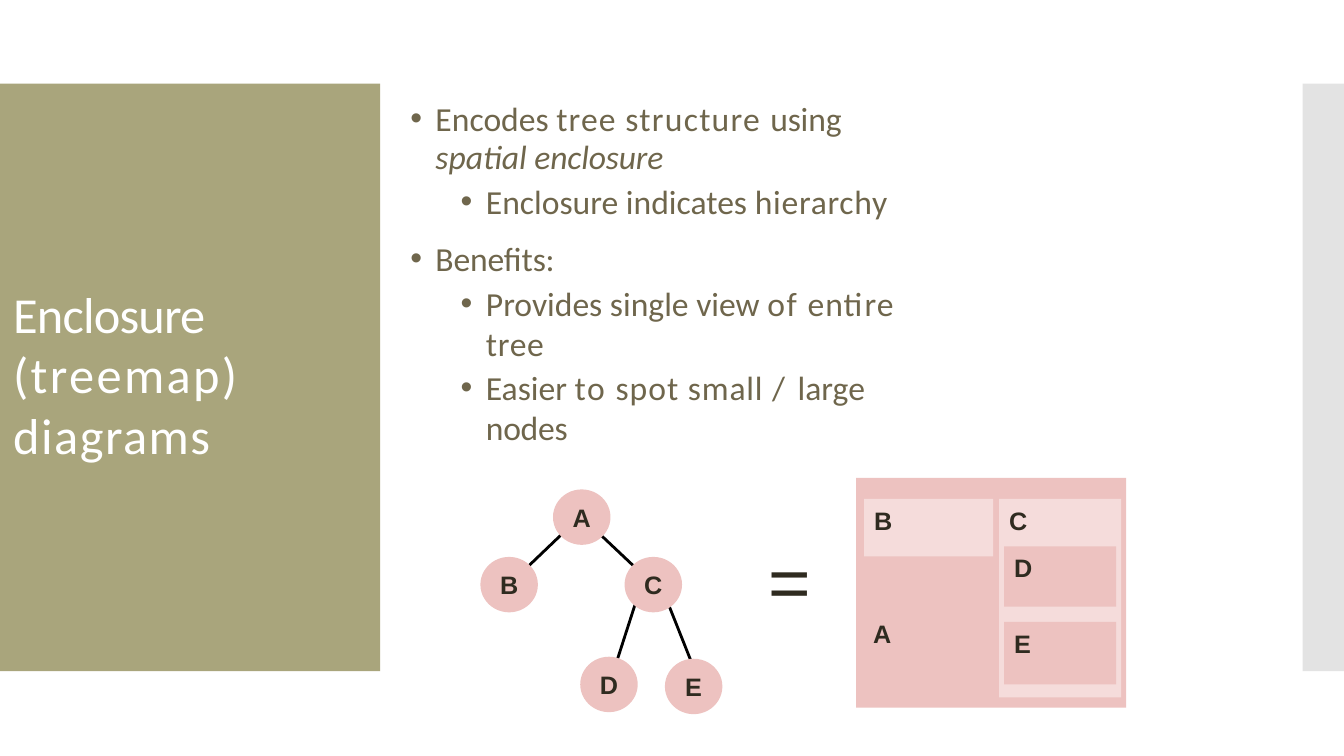
from lxml import etree
from pptx import Presentation
from pptx.dml.color import RGBColor
from pptx.enum.shapes import MSO_CONNECTOR as Line, MSO_SHAPE as Shape
from pptx.enum.text import MSO_ANCHOR as Anchor, PP_ALIGN as Align
from pptx.oxml.ns import qn
from pptx.util import Inches, Pt

OLIVE = RGBColor(0xA9, 0xA5, 0x7C)
GREY = RGBColor(0xC8, 0xC8, 0xC8)
BROWN = RGBColor(0x6F, 0x66, 0x4C)
DARK = RGBColor(0x2F, 0x2B, 0x20)
WHITE = RGBColor(0xFF, 0xFF, 0xFF)
BLACK = RGBColor(0, 0, 0)
PINK = RGBColor(0xED, 0xC2, 0xC0)
PALE = RGBColor(0xF5, 0xDC, 0xDB)

# A run is (text, letter spacing in points)
TITLE = [("Enclosure ", -0.6), ("(treemap) ", 1.7), ("diagrams", 1.1)]

# Bullet text: runs, paragraph format
POINTS = [
    ([("Encodes ", 0), ("tree ", 0.8), ("structure ", 0.9), ("using", -0.1)],
     dict(left=0.26, bullet=True, line=27.4)),
    ([("spatial ", 0), ("enclosure", -0.1)],
     dict(left=0.26, line=27.4, italic=True)),
    ([("Enclosure indicates ", 0), ("hierarchy", 0.5)],
     dict(left=0.76, bullet=True, level=1, before=3)),
    ([("Benefits:", -0.1)],
     dict(left=0.26, bullet=True, before=12.2)),
    ([("Provides single view ", 0), ("of ", 1.1), ("entire ", 0.7),
      ("tree", 0.5)],
     dict(left=0.76, bullet=True, level=1, before=2.9)),
    ([("Easier ", 0), ("to ", 1.1), ("spot ", 0.7), ("small ", 0.6),
      ("/ ", 1.8), ("large ", 0), ("nodes", -0.2)],
     dict(left=0.76, bullet=True, level=1, before=2.5)),
]

# Tree: node centres, and edges that end under the nodes
SIZE = (0.57, 0.55)
NODES = {"A": (5.77, 5.13), "B": (5.05, 5.8), "C": (6.48, 5.8),
         "D": (6.04, 6.79), "E": (6.88, 6.81)}
EDGES = [(5.76, 5.12, 5.06, 5.79), (5.76, 5.12, 6.47, 5.79),
         (6.33, 5.9, 6.05, 6.77), (6.58, 5.87, 6.93, 6.75)]

# Treemap: label, box, fill, label offset
CELLS = [
    ("A", (8.49, 4.74, 2.68, 2.28), PINK, (0.17, 1.39)),
    ("B", (8.57, 4.95, 1.28, 0.57), PALE, (0.1, 0.06)),
    ("C", (9.91, 4.95, 1.21, 1.97), PALE, (0.1, 0.06)),
    ("D", (9.96, 5.42, 1.11, 0.6), PINK, (0.1, 0.06)),
    ("E", (9.96, 6.17, 1.11, 0.62), PINK, (0.1, 0.06)),
]

deck = Presentation()
deck.slide_width, deck.slide_height = Inches(13.33), Inches(7.5)
slide = deck.slides.add_slide(deck.slide_layouts[6])
shapes = slide.shapes


def write(para, runs, size=18, color=DARK, font="Arial", bold=False,
          italic=False, align=Align.LEFT, left=0, bullet=False, level=0,
          line=None, before=0):
    """Fill one paragraph with runs of (text, letter spacing)."""
    props = para._p.get_or_add_pPr()
    props.set("marL", str(Inches(left)))
    props.set("indent", str(Inches(-0.25 if bullet else 0)))
    para.level, para.alignment = level, align
    if line:
        para.line_spacing = Pt(line)
    if before:
        para.space_before = Pt(before)
    if bullet:
        etree.SubElement(props, qn("a:buFont")).set("typeface", "Arial")
        etree.SubElement(props, qn("a:buChar")).set("char", "•")
    for text, gap in runs:
        run = para.add_run()
        run.text = text
        face = run.font
        face.name, face.size, face.color.rgb = font, Pt(size), color
        face.bold, face.italic = bold, italic
        run._r.get_or_add_rPr().set("spc", str(round(gap * 100)))


def frame(shape, left=0, top=0, wrap=True, anchor=Anchor.TOP):
    """Set the insets of a shape's text and return its frame."""
    body = shape.text_frame
    body.margin_left, body.margin_top = Inches(left), Inches(top)
    body.margin_right = body.margin_bottom = 0
    body.word_wrap, body.vertical_anchor = wrap, anchor
    return body


def block(kind, box, fill):
    shape = shapes.add_shape(kind, *map(Inches, box))
    shape.shadow.inherit = False
    shape.fill.solid()
    shape.fill.fore_color.rgb = fill
    shape.line.fill.background()
    return shape


def label(*box):
    return shapes.add_textbox(*map(Inches, box))


# Side panels
block(Shape.RECTANGLE, (0, 0.83, 3.77, 5.83), OLIVE)
strip = block(Shape.RECTANGLE, (12.92, 0.83, 0.41, 5.83), GREY)
tint = strip.fill._xPr.find(".//" + qn("a:srgbClr"))
etree.SubElement(tint, qn("a:alpha")).set("val", "50000")

title = frame(label(0.12, 2.78, 3.52, 1.83), 0.01, 0.02, anchor=Anchor.MIDDLE)
write(title.paragraphs[0], TITLE, size=36, color=WHITE, font="Calibri")

body = frame(label(4.06, 0.97, 5.14, 3.49), top=0.02)
for i, (runs, style) in enumerate(POINTS):
    para = body.add_paragraph() if i else body.paragraphs[0]
    write(para, runs, size=24, color=BROWN, font="Calibri", **style)

equals = frame(label(7.61, 5.29, 0.45, 0.89), 0.01, 0.02)
write(equals.paragraphs[0], [("=", -0.1)], size=52)

# Tree
for edge in EDGES:
    link = shapes.add_connector(Line.STRAIGHT, *map(Inches, edge))
    link.line.color.rgb, link.line.width = BLACK, Pt(2)
    etree.SubElement(link._element.spPr, qn("a:effectLst"))

wide, high = SIZE
for name, (x, y) in NODES.items():
    node = block(Shape.OVAL, (x - wide / 2, y - high / 2, wide, high), PINK)
    text = frame(node, wrap=False, anchor=Anchor.MIDDLE)
    write(text.paragraphs[0], [(name, 0)], bold=True, align=Align.CENTER)

# Treemap
for name, box, fill, (dx, dy) in CELLS:
    text = frame(block(Shape.RECTANGLE, box, fill), dx, dy)
    write(text.paragraphs[0], [(name, 0)], bold=True)

deck.save("out.pptx")
